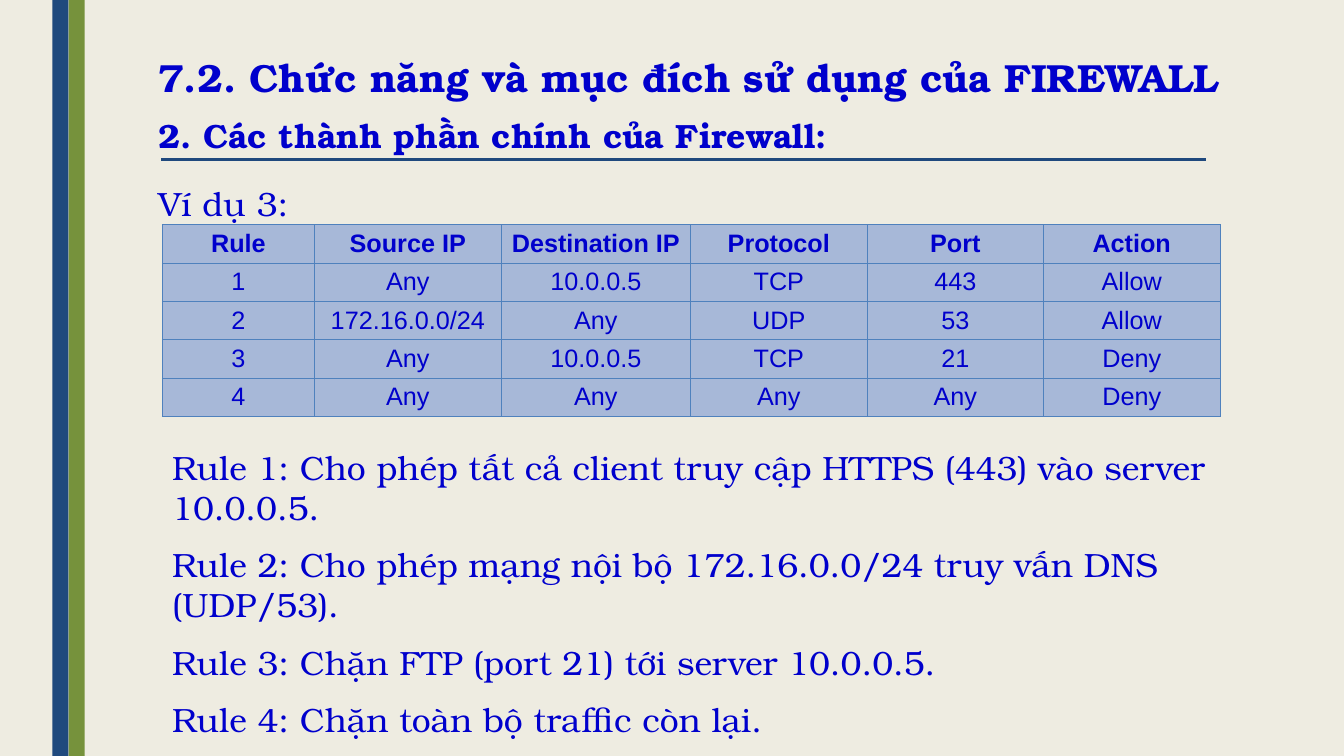
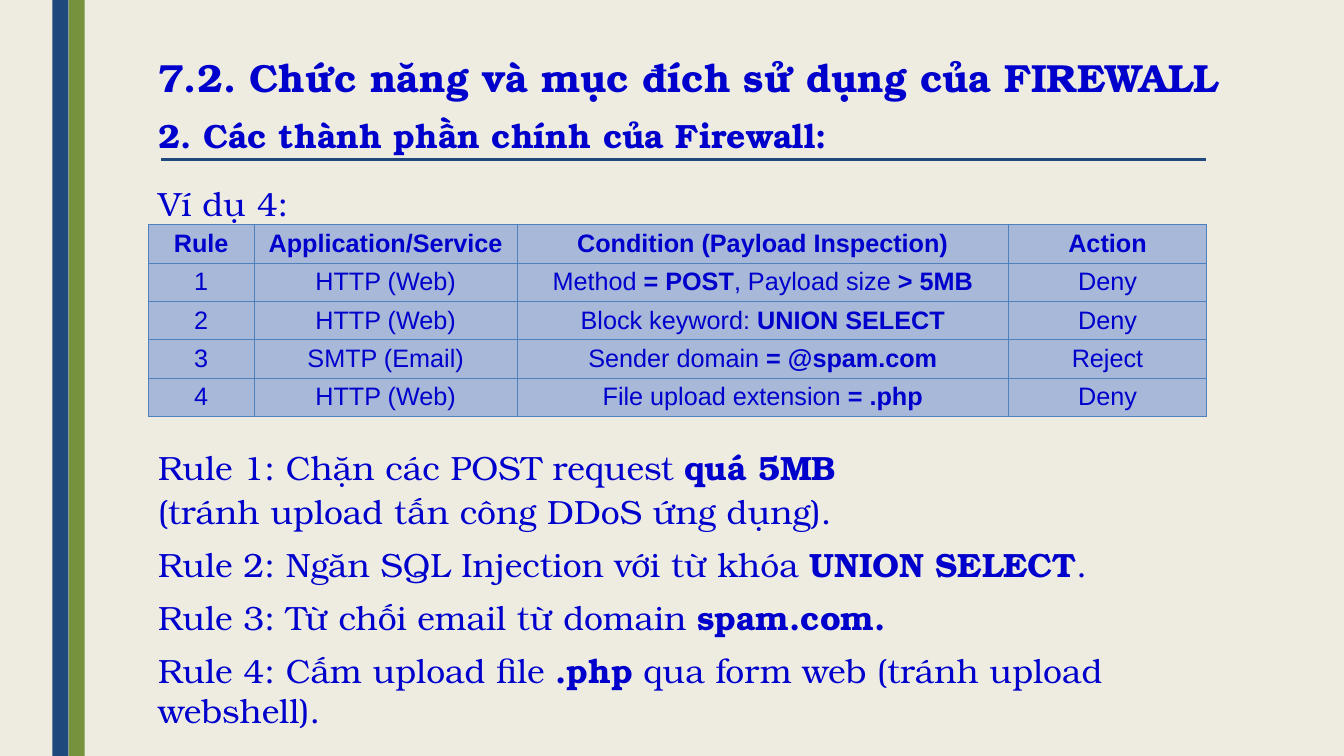
from lxml.etree import SubElement
from pptx import Presentation
from pptx.dml.color import RGBColor
from pptx.enum.shapes import MSO_CONNECTOR, MSO_SHAPE
from pptx.enum.text import MSO_ANCHOR, PP_ALIGN
from pptx.oxml import parse_xml
from pptx.oxml.ns import nsdecls, qn
from pptx.util import Inches, Pt

COLORS = {
    "background": "EEECE1",
    "navy": "1F497D",
    "green": "76923C",
    "text": "0000CC",
    "cell": "A7B8D8",
    "border": "4F81BD",
}
SERIF = "TeX Gyre Bonum"
SANS = "Arial"
TITLE = "7.2. Chức năng và mục đích sử dụng của FIREWALL"
SUBTITLE = "2. Các thành phần chính của Firewall:"
LEFT = 1.47
ROW_HEIGHT = 0.38


def color(name):
    return RGBColor.from_string(COLORS[name])


def apply(target, values):
    for name, value in values.items():
        setattr(target, name, value)


class FirewallDeck:
    title_format = {"line_spacing": 0.89}
    subtitle_format = {"line_spacing": 0.94, "space_after": Pt(2)}
    example_format = {"alignment": PP_ALIGN.JUSTIFY, "line_spacing": 1.2,
                      "space_before": Pt(12), "space_after": Pt(6)}
    cell_format = {"vertical_anchor": MSO_ANCHOR.MIDDLE,
                   "margin_left": Inches(0.07), "margin_right": Inches(0.07),
                   "margin_top": Inches(0.04), "margin_bottom": Inches(0.04)}

    def __init__(self):
        self.deck = Presentation()
        apply(self.deck, {"slide_width": Inches(13.33), "slide_height": Inches(7.5)})
        self.page = None

    def add_page(self, example):
        self.page = self.deck.slides.add_slide(self.deck.slide_layouts[6])
        fill = self.page.background.fill
        fill.solid()
        fill.fore_color.rgb = color("background")
        self.add_band(0.68, "green")
        self.add_band(0.52, "navy")
        self.add_rule_line(1.6, 11.96, 1.58)
        self.add_text((LEFT, 0.54, 11.2, 0.58), [(f"*{TITLE}*", self.title_format)], 28)
        self.add_text((LEFT, 1.12, 10.68, 1.1),
                      [(f"*{SUBTITLE}*", self.subtitle_format),
                       (example, self.example_format)])

    def add_band(self, left, fill_name):
        band = self.page.shapes.add_shape(
            MSO_SHAPE.RECTANGLE, Inches(left), 0, Inches(0.16), self.deck.slide_height)
        band.shadow.inherit = False
        band.fill.solid()
        band.fill.fore_color.rgb = color(fill_name)
        band.line.fill.background()

    def add_rule_line(self, start, end, top):
        line = self.page.shapes.add_connector(
            MSO_CONNECTOR.STRAIGHT, Inches(start), Inches(top), Inches(end), Inches(top))
        line.line.color.rgb = color("navy")
        line.line.width = Pt(2.25)
        SubElement(line._element.spPr, qn("a:effectLst"))

    def add_spans(self, para, text, font_name, size, bold=False):
        for index, part in enumerate(text.split("*")):
            if part:
                span = para.add_run()
                span.text = part
                apply(span.font, {"name": font_name, "size": Pt(size),
                                  "bold": bold or index % 2 == 1})
                span.font.color.rgb = color("text")

    def add_text(self, place, paragraphs, size=24):
        box = self.page.shapes.add_textbox(*map(Inches, place))
        frame = box.text_frame
        frame.word_wrap = True
        for index, (text, values) in enumerate(paragraphs):
            para = frame.add_paragraph() if index else frame.paragraphs[0]
            apply(para, values)
            self.add_spans(para, text, SERIF, size)

    def add_rules(self, place, texts, before, after, tight=1):
        paragraphs = []
        for index, text in enumerate(texts):
            gap = before if index >= tight else 0
            paragraphs.append((text, {"space_before": Pt(gap), "space_after": Pt(after)}))
        self.add_text(place, paragraphs)

    def add_table(self, left, widths, rows):
        table = self.page.shapes.add_table(
            len(rows), len(widths), Inches(left), Inches(2.23),
            Inches(sum(widths)), Inches(ROW_HEIGHT * len(rows))).table
        for column, width in zip(table.columns, widths):
            column.width = Inches(width)
        for row_index, texts in enumerate(rows):
            table.rows[row_index].height = Inches(ROW_HEIGHT)
            for column_index, text in enumerate(texts):
                cell = table.cell(row_index, column_index)
                self.style_cell(cell)
                para = cell.text_frame.paragraphs[0]
                para.alignment = PP_ALIGN.CENTER
                self.add_spans(para, text, SANS, 18, row_index == 0)

    def style_cell(self, cell):
        apply(cell, self.cell_format)
        cell.fill.solid()
        cell.fill.fore_color.rgb = color("cell")
        properties = cell._tc.get_or_add_tcPr()
        for index, side in enumerate("LRTB"):
            properties.insert(index, parse_xml(
                f'<a:ln{side} {nsdecls("a")} w="{Pt(0.5)}"><a:solidFill>'
                f'<a:srgbClr val="{COLORS["border"]}"/></a:solidFill></a:ln{side}>'))


def main():
    firewall = FirewallDeck()

    firewall.add_page("Ví dụ 3:")
    firewall.add_table(1.61, [1.51, 1.85, 1.88, 1.75, 1.75, 1.75], [
        ["Rule", "Source IP", "Destination IP", "Protocol", "Port", "Action"],
        ["1", "Any", "10.0.0.5", "TCP", "443", "Allow"],
        ["2", "172.16.0.0/24", "Any", "UDP", "53", "Allow"],
        ["3", "Any", "10.0.0.5", "TCP", "21", "Deny"],
        ["4", "Any", "Any", "Any", "Any", "Deny"],
    ])
    firewall.add_rules((1.61, 4.38, 11.06, 2.95), [
        "Rule 1: Cho phép tất cả client truy cập HTTPS (443) vào server 10.0.0.5.",
        "Rule 2: Cho phép mạng nội bộ 172.16.0.0/24 truy vấn DNS (UDP/53).",
        "Rule 3: Chặn FTP (port 21) tới server 10.0.0.5.",
        "Rule 4: Chặn toàn bộ traffic còn lại.",
    ], before=6, after=6)

    firewall.add_page("Ví dụ 4:")
    firewall.add_table(LEFT, [1.05, 2.61, 4.87, 1.97], [
        ["Rule", "Application/Service", "Condition (Payload Inspection)", "Action"],
        ["1", "HTTP (Web)", "Method *= POST*, Payload size *> 5MB*", "Deny"],
        ["2", "HTTP (Web)", "Block keyword: *UNION SELECT*", "Deny"],
        ["3", "SMTP (Email)", "Sender domain *= @spam.com*", "Reject"],
        ["4", "HTTP (Web)", "File upload extension *= .php*", "Deny"],
    ])
    firewall.add_rules((LEFT, 4.38, 11.2, 2.95), [
        "Rule 1: Chặn các POST request *quá 5MB*",
        "(tránh upload tấn công DDoS ứng dụng).",
        "Rule 2: Ngăn SQL Injection với từ khóa *UNION SELECT*.",
        "Rule 3: Từ chối email từ domain *spam.com.*",
        "Rule 4: Cấm upload file *.php* qua form web (tránh upload webshell).",
    ], before=6, after=3, tight=2)

    firewall.deck.save("out.pptx")


if __name__ == "__main__":
    main()
